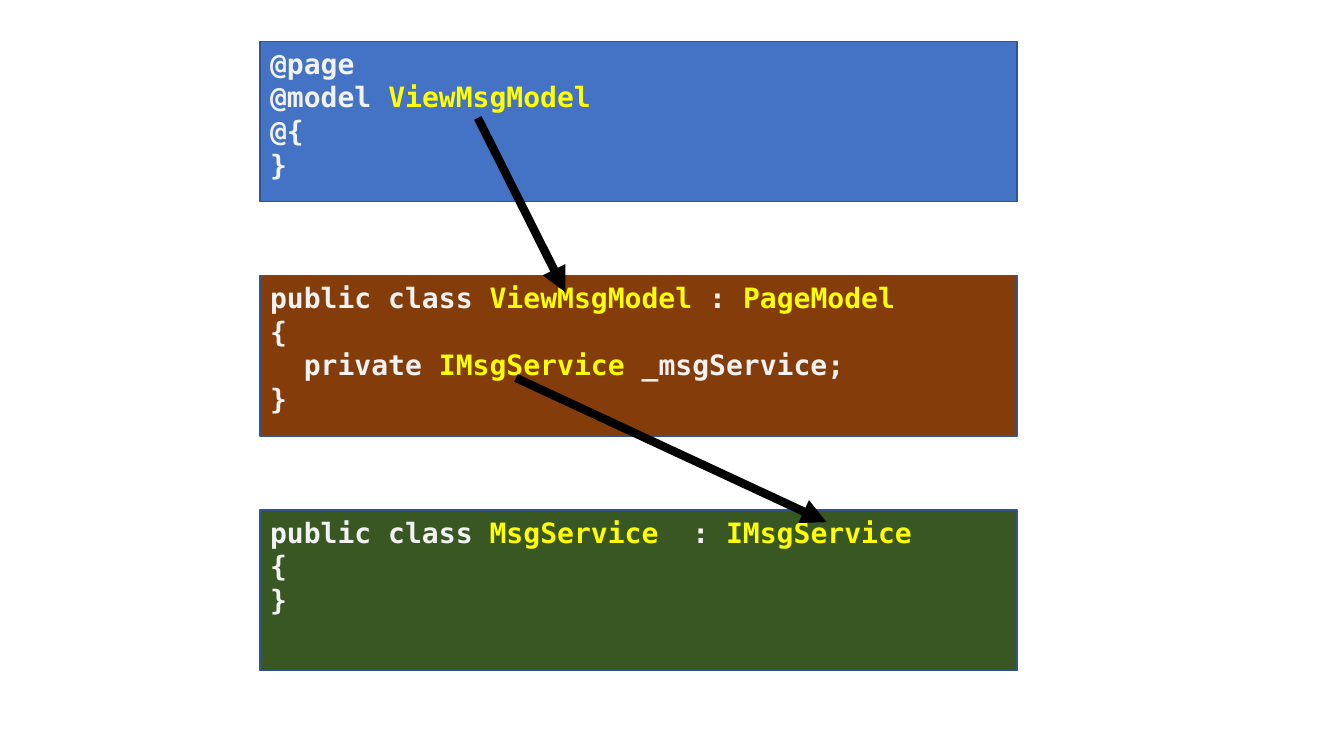
from dataclasses import dataclass

from lxml import etree
from pptx import Presentation
from pptx.dml.color import RGBColor
from pptx.enum.shapes import MSO_CONNECTOR, MSO_SHAPE
from pptx.enum.text import MSO_ANCHOR, PP_ALIGN
from pptx.oxml.ns import qn
from pptx.util import Pt

RECTANGLE = MSO_SHAPE.RECTANGLE
STRAIGHT = MSO_CONNECTOR.STRAIGHT
TOP = MSO_ANCHOR.TOP
LEFT = PP_ALIGN.LEFT


@dataclass(frozen=True)
class Theme:
    view: RGBColor = RGBColor(0x44, 0x72, 0xC4)
    page_model: RGBColor = RGBColor(0x84, 0x3C, 0x0B)
    service: RGBColor = RGBColor(0x38, 0x57, 0x23)
    border: RGBColor = RGBColor(0x32, 0x54, 0x91)
    code: RGBColor = RGBColor(0xF2, 0xF2, 0xF2)
    type_name: RGBColor = RGBColor(0xFF, 0xFF, 0x00)
    arrow: RGBColor = RGBColor(0, 0, 0)
    font: str = "DejaVu Sans Mono"
    code_size: int = 20
    border_width: int = 1
    arrow_width: int = 6


THEME = Theme()
CODE_FORMAT = {"name": THEME.font, "size": Pt(THEME.code_size), "bold": True}

BOX_LEFT, FIRST_TOP = 185.8, 29.5
BOX_WIDTH, BOX_HEIGHT = 540.7, 114.5
BOX_PITCH = 167.45

# Spans in a line alternate between plain code and a highlighted type name.
CODE_BOXES = [
    (THEME.view, [
        ["@page"],
        ["@model ", "ViewMsgModel"],
        ["@{"],
        ["}"],
    ]),
    (THEME.page_model, [
        ["public class ", "ViewMsgModel", " : ", "PageModel"],
        ["{"],
        ["  private ", "IMsgService", " _msgService;"],
        ["}"],
    ]),
    (THEME.service, [
        ["public class ", "MsgService", "  : ", "IMsgService"],
        ["{"],
        ["}"],
    ]),
]

# Start offset in one box, end offset in the box below it.
ARROWS = [
    ((155.5, 54.7), (218.1, 11.8)),
    ((182.8, 73), (404.6, 8.6)),
]


def add_code_box(page, box, fill, lines):
    shape = page.shapes.add_shape(RECTANGLE, *(Pt(length) for length in box))
    shape.shadow.inherit = False
    shape.fill.solid()
    shape.fill.fore_color.rgb = fill
    shape.line.color.rgb = THEME.border
    shape.line.width = Pt(THEME.border_width)
    frame = shape.text_frame
    frame.word_wrap = True
    frame.vertical_anchor = TOP
    for number, spans in enumerate(lines):
        para = frame.add_paragraph() if number else frame.paragraphs[0]
        para.alignment = LEFT
        for index, text in enumerate(spans):
            span = para.add_run()
            span.text = text
            for attribute, value in CODE_FORMAT.items():
                setattr(span.font, attribute, value)
            span.font.color.rgb = THEME.type_name if index % 2 else THEME.code


def add_arrow(page, upper_box, lower_box, start, end):
    """Link a name in the upper box to one in the lower box."""
    points = [
        Pt(corner + offset)
        for box, place in ((upper_box, start), (lower_box, end))
        for corner, offset in zip(box, place)
    ]
    arrow = page.shapes.add_connector(STRAIGHT, *points)
    arrow.line.color.rgb = THEME.arrow
    arrow.line.width = Pt(THEME.arrow_width)
    etree.SubElement(arrow.line._get_or_add_ln(), qn("a:tailEnd"), type="triangle")
    etree.SubElement(arrow._element.spPr, qn("a:effectLst"))


def build_class_chain(page):
    boxes = [
        (BOX_LEFT, FIRST_TOP + row * BOX_PITCH, BOX_WIDTH, BOX_HEIGHT)
        for row in range(len(CODE_BOXES))
    ]
    for box, (fill, lines) in zip(boxes, CODE_BOXES):
        add_code_box(page, box, fill, lines)
    for upper_box, lower_box, (start, end) in zip(boxes, boxes[1:], ARROWS):
        add_arrow(page, upper_box, lower_box, start, end)


def main():
    deck = Presentation()
    deck.slide_width, deck.slide_height = Pt(960), Pt(540)
    build_class_chain(deck.slides.add_slide(deck.slide_layouts[6]))
    deck.save("out.pptx")


if __name__ == "__main__":
    main()
